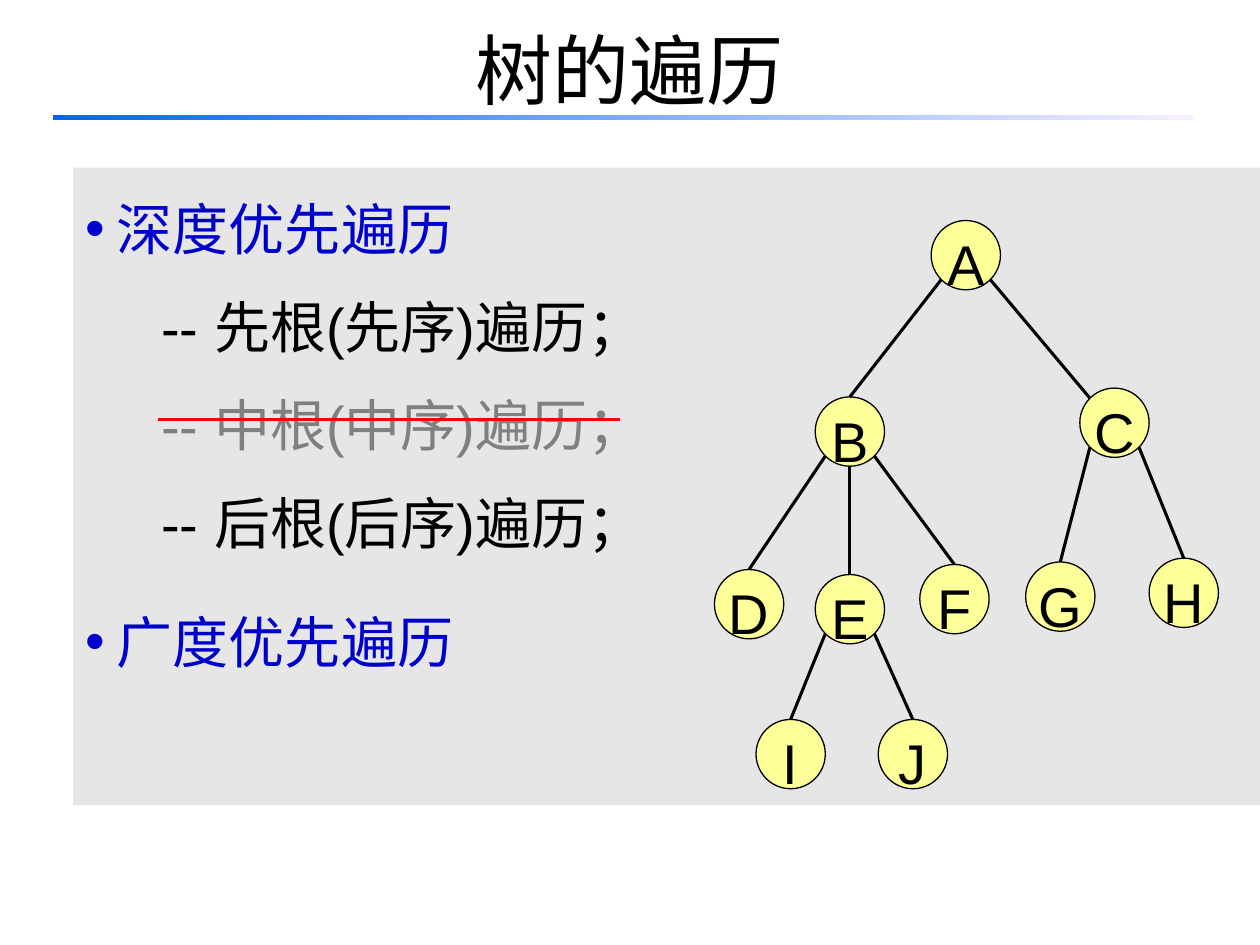
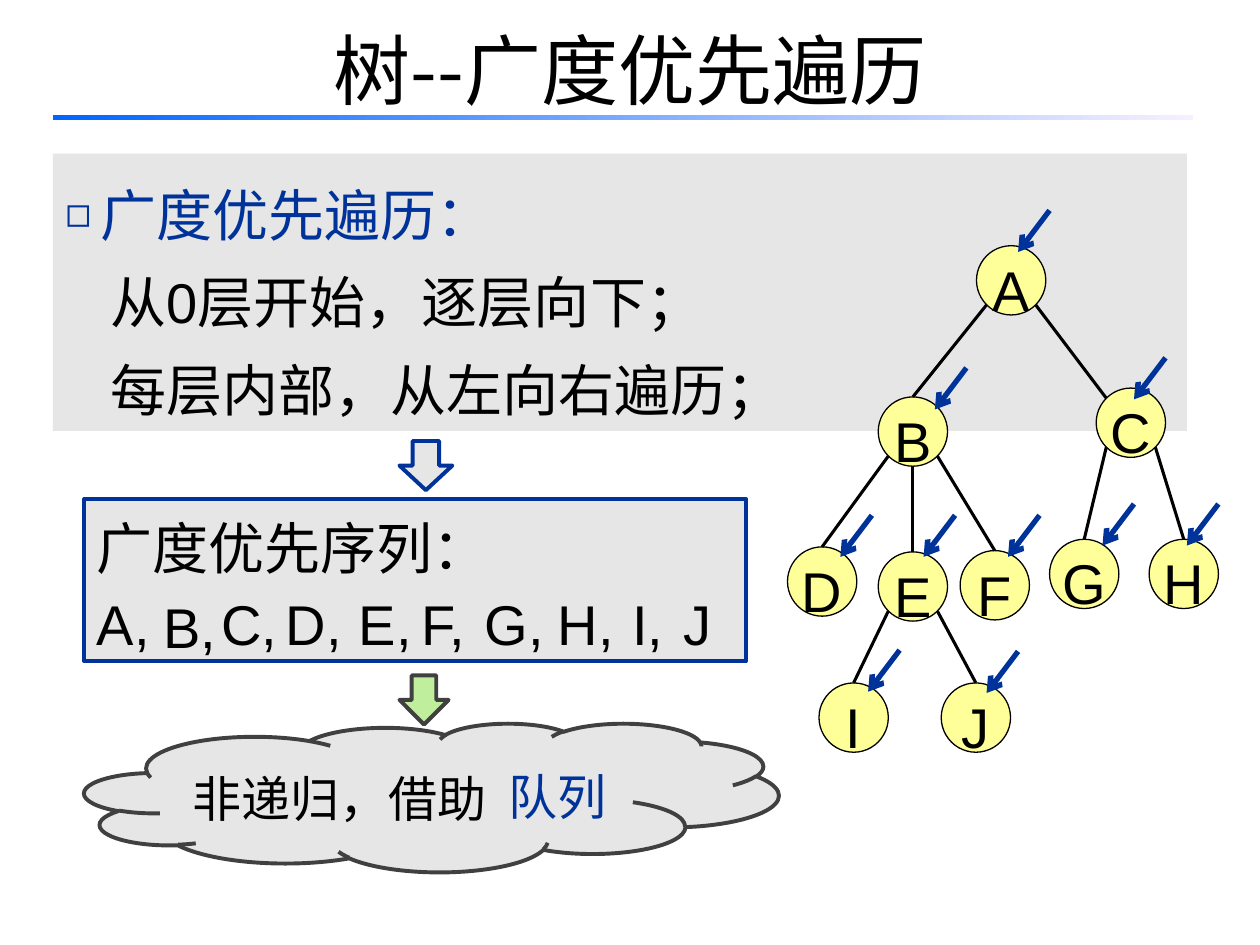
from lxml.etree import SubElement
from pptx import Presentation
from pptx.dml.color import RGBColor
from pptx.enum.shapes import MSO_CONNECTOR as CONNECTOR, MSO_SHAPE as SHAPE
from pptx.enum.text import MSO_ANCHOR as ANCHOR, PP_ALIGN as ALIGN
from pptx.oxml.ns import qn
from pptx.util import Inches, Pt

BLACK = RGBColor(0x00, 0x00, 0x00)
GRAY = RGBColor(0x80, 0x80, 0x80)
DARK_GRAY = RGBColor(0x40, 0x40, 0x40)
PANEL = RGBColor(0xE6, 0xE6, 0xE6)
BLUE = RGBColor(0x00, 0x00, 0xCC)
NAVY = RGBColor(0x00, 0x33, 0x99)
RED = RGBColor(0xFF, 0x00, 0x00)
YELLOW = RGBColor(0xFF, 0xFF, 0x99)
GREEN = RGBColor(0xBF, 0xEE, 0x9C)
BAND_START = RGBColor(0x00, 0x66, 0xFF)
BAND_END = RGBColor(0xF7, 0xEF, 0xFF)

LATIN_FONT = "Arial"
CHINESE_FONT = "Noto Sans CJK SC"
NODE_SIZE = 0.55
DIAGONAL = 0.08  # inset of a circle's diagonal points from its bounding box
LINE_HEIGHT = Pt(50)

TREE_EDGES = ["AB", "AC", "BD", "BE", "BF", "CG", "CH", "EI", "EJ"]
TRAVERSAL_NODES = {
    "A": (7.39, 1.75), "B": (6.47, 3.15), "C": (8.57, 3.08),
    "D": (5.67, 4.52), "E": (6.47, 4.56), "F": (7.3, 4.48),
    "G": (8.14, 4.46), "H": (9.12, 4.43), "I": (6, 5.71), "J": (6.97, 5.71),
}
BREADTH_NODES = {
    "A": (7.75, 1.95), "B": (6.97, 3.15), "C": (8.7, 3.08),
    "D": (6.25, 4.34), "E": (6.97, 4.38), "F": (7.62, 4.37),
    "G": (8.33, 4.28), "H": (9.12, 4.28), "I": (6.5, 5.42), "J": (7.47, 5.42),
}
VISIT_TIPS = [
    (8.08, 2), (7.42, 3.25), (9, 3.17), (6.67, 4.42), (7.33, 4.42),
    (8, 4.42), (8.75, 4.33), (9.42, 4.33), (6.89, 5.49), (7.83, 5.5),
]
SEQUENCE_LEFTS = {
    "A,": 0.67, "B,": 1.2, "C,": 1.66, "D,": 2.17, "E,": 2.75,
    "F,": 3.25, "G,": 3.75, "H,": 4.33, "I,": 4.92, "J": 5.33,
}


def add_run(paragraph, text, size=32, color=BLACK, latin=LATIN_FONT):
    run = paragraph.add_run()
    run.text = text
    run.font.size = Pt(size)
    run.font.name = latin
    run.font.color.rgb = color
    SubElement(run.font._element, qn("a:ea")).set("typeface", CHINESE_FONT)


def set_indent(paragraph, left, bullet=None, bullet_size=100):
    """Indent a paragraph, hanging it behind its bullet if it has one."""
    properties = paragraph._p.get_or_add_pPr()
    properties.set("marL", str(Inches(left)))
    properties.set("indent", str(-Inches(left) if bullet else 0))
    if bullet:
        SubElement(properties, qn("a:buSzPct")).set("val", str(bullet_size * 1000))
        SubElement(properties, qn("a:buFont")).set("typeface", LATIN_FONT)
        SubElement(properties, qn("a:buChar")).set("char", bullet)


def add_panel(slide, kind, left, top, width, height, fill=PANEL, line=None, weight=2.25):
    shape = slide.shapes.add_shape(
        kind, Inches(left), Inches(top), Inches(width), Inches(height))
    shape.shadow.inherit = False
    shape.fill.solid()
    shape.fill.fore_color.rgb = fill
    if line is None:
        shape.line.fill.background()
    else:
        shape.line.color.rgb = line
        shape.line.width = Pt(weight)
    shape.text_frame.vertical_anchor = ANCHOR.TOP
    shape.text_frame.paragraphs[0].alignment = ALIGN.LEFT
    return shape


def add_outline(shape, items):
    """Fill a panel with (text, color, left indent, space before, bullet, bullet size)."""
    frame = shape.text_frame
    for index, (text, color, left, before, bullet, bullet_size) in enumerate(items):
        paragraph = frame.add_paragraph() if index else frame.paragraphs[0]
        set_indent(paragraph, left, bullet, bullet_size)
        paragraph.alignment = ALIGN.LEFT
        paragraph.line_spacing = LINE_HEIGHT
        paragraph.space_before = Pt(before)
        add_run(paragraph, text, color=color)


def add_label(slide, text, left, top, width, height, size=32, color=BLACK,
              spacing=1.25, align=ALIGN.LEFT, wrap=True):
    box = slide.shapes.add_textbox(
        Inches(left), Inches(top), Inches(width), Inches(height))
    box.text_frame.word_wrap = wrap
    paragraph = box.text_frame.paragraphs[0]
    paragraph.alignment = align
    paragraph.line_spacing = spacing
    add_run(paragraph, text, size, color)


def add_line(slide, start, end, color=BLACK, weight=1.75, arrow=False):
    line = slide.shapes.add_connector(
        CONNECTOR.STRAIGHT, *(Inches(value) for value in (*start, *end)))
    line.line.color.rgb = color
    line.line.width = Pt(weight)
    if arrow:
        SubElement(line.line._get_or_add_ln(), qn("a:tailEnd")).set("type", "arrow")
    SubElement(line._element.spPr, qn("a:effectLst"))
    return line


def add_node(slide, letter, left, top):
    node = add_panel(slide, SHAPE.OVAL, left, top, NODE_SIZE, NODE_SIZE,
                     YELLOW, BLACK, 0.75)
    node.text_frame.word_wrap = False
    node.text_frame.vertical_anchor = ANCHOR.MIDDLE
    paragraph = node.text_frame.paragraphs[0]
    paragraph.alignment = ALIGN.CENTER
    paragraph.line_spacing = 1.25
    add_run(paragraph, letter)
    return node


def add_tree(slide, places):
    nodes = {letter: add_node(slide, letter, *place) for letter, place in places.items()}
    middle, far = NODE_SIZE / 2, NODE_SIZE - DIAGONAL
    for parent, child in TREE_EDGES:
        (parent_left, parent_top), (child_left, child_top) = places[parent], places[child]
        # Leave the parent at its lower left, bottom or lower right
        if parent_left == child_left:
            start = parent_left + middle, parent_top + NODE_SIZE
        elif child_left < parent_left:
            start = parent_left + DIAGONAL, parent_top + far
        else:
            start = parent_left + far, parent_top + far
        # Reach C at its upper left, the other nodes at the top
        if child == "C":
            add_line(slide, start, (child_left + DIAGONAL, child_top + DIAGONAL))
        else:
            edge = add_line(slide, start, (child_left + middle, child_top))
            edge.end_connect(nodes[child], 0)


def add_titled_slide(presentation, text):
    slide = presentation.slides.add_slide(presentation.slide_layouts[5])
    title = slide.shapes.title
    title.left, title.top = Inches(0.5), Inches(-0.08)
    title.width, title.height = Inches(9), Inches(1.25)
    title.text_frame.vertical_anchor = ANCHOR.MIDDLE
    paragraph = title.text_frame.paragraphs[0]
    paragraph.alignment = ALIGN.CENTER
    add_run(paragraph, text, 44, latin=CHINESE_FONT)
    # Gradient band under the title
    band = add_panel(slide, SHAPE.RECTANGLE, 0.42, 0.91, 9.05, 0.04)
    band.fill.gradient()
    band.fill.gradient_angle = 0
    for stop, color in zip(band.fill.gradient_stops, (BAND_START, BAND_END)):
        stop.color.rgb = color
    return slide


def build_traversal_slide(presentation):
    slide = add_titled_slide(presentation, "树的遍历")
    panel = add_panel(slide, SHAPE.RECTANGLE, 0.58, 1.33, 9.42, 5.06)
    add_outline(panel, [
        ("深度优先遍历", BLUE, 0.25, 0, "•", 100),
        ("-- 先根(先序)遍历；", BLACK, 0.6, 6, None, 100),
        ("-- 中根(中序)遍历；", GRAY, 0.6, 6, None, 100),
        ("-- 后根(后序)遍历；", BLACK, 0.6, 6, None, 100),
        ("广度优先遍历", BLUE, 0.25, 18, "•", 100),
    ])
    add_tree(slide, TRAVERSAL_NODES)
    # Strike out the in-order traversal
    add_line(slide, (1.25, 3.33), (4.92, 3.33), RED, 1.5)


def build_breadth_slide(presentation):
    slide = add_titled_slide(presentation, "树--广度优先遍历")
    rule = add_panel(slide, SHAPE.RECTANGLE, 0.42, 1.22, 9, 2.2)
    add_outline(rule, [
        ("广度优先遍历：", NAVY, 0.28, 0, "◻", 75),
        ("从0层开始，逐层向下；", BLACK, 0.36, 0, None, 100),
        ("每层内部，从左向右遍历；", BLACK, 0.36, 0, None, 100),
    ])

    # Tree with an arrow at each visited node
    add_tree(slide, BREADTH_NODES)
    for left, top in VISIT_TIPS:
        add_line(slide, (left + 0.25, top - 0.33), (left, top), NAVY, 3, arrow=True)

    # Resulting sequence
    sequence = add_panel(slide, SHAPE.RECTANGLE, 0.67, 3.96, 5.25, 1.29, line=NAVY)
    paragraph = sequence.text_frame.paragraphs[0]
    paragraph.line_spacing = Pt(43)
    add_run(paragraph, "广度优先序列：")
    add_panel(slide, SHAPE.DOWN_ARROW, 3.17, 3.5, 0.42, 0.39, line=NAVY)
    for text, left in SEQUENCE_LEFTS.items():
        add_label(slide, text, left, 4.52 if text == "B," else 4.5, 0.75, 0.71)

    # Implementation hint
    cloud = add_panel(slide, SHAPE.CLOUD, 0.67, 5.74, 5.51, 1.18, line=DARK_GRAY)
    paragraph = cloud.text_frame.paragraphs[0]
    paragraph.line_spacing = Pt(43)
    add_run(paragraph, "非递归，借助", 28)
    add_panel(slide, SHAPE.DOWN_ARROW, 3.17, 5.36, 0.39, 0.39, GREEN, DARK_GRAY)
    add_label(slide, "队列", 3.93, 5.9, 0.99, 0.69, 28, NAVY, Pt(43), ALIGN.CENTER, False)


def main():
    presentation = Presentation()
    presentation.slide_width, presentation.slide_height = Inches(10), Inches(7.5)
    build_traversal_slide(presentation)
    build_breadth_slide(presentation)
    presentation.save("out.pptx")


if __name__ == "__main__":
    main()
